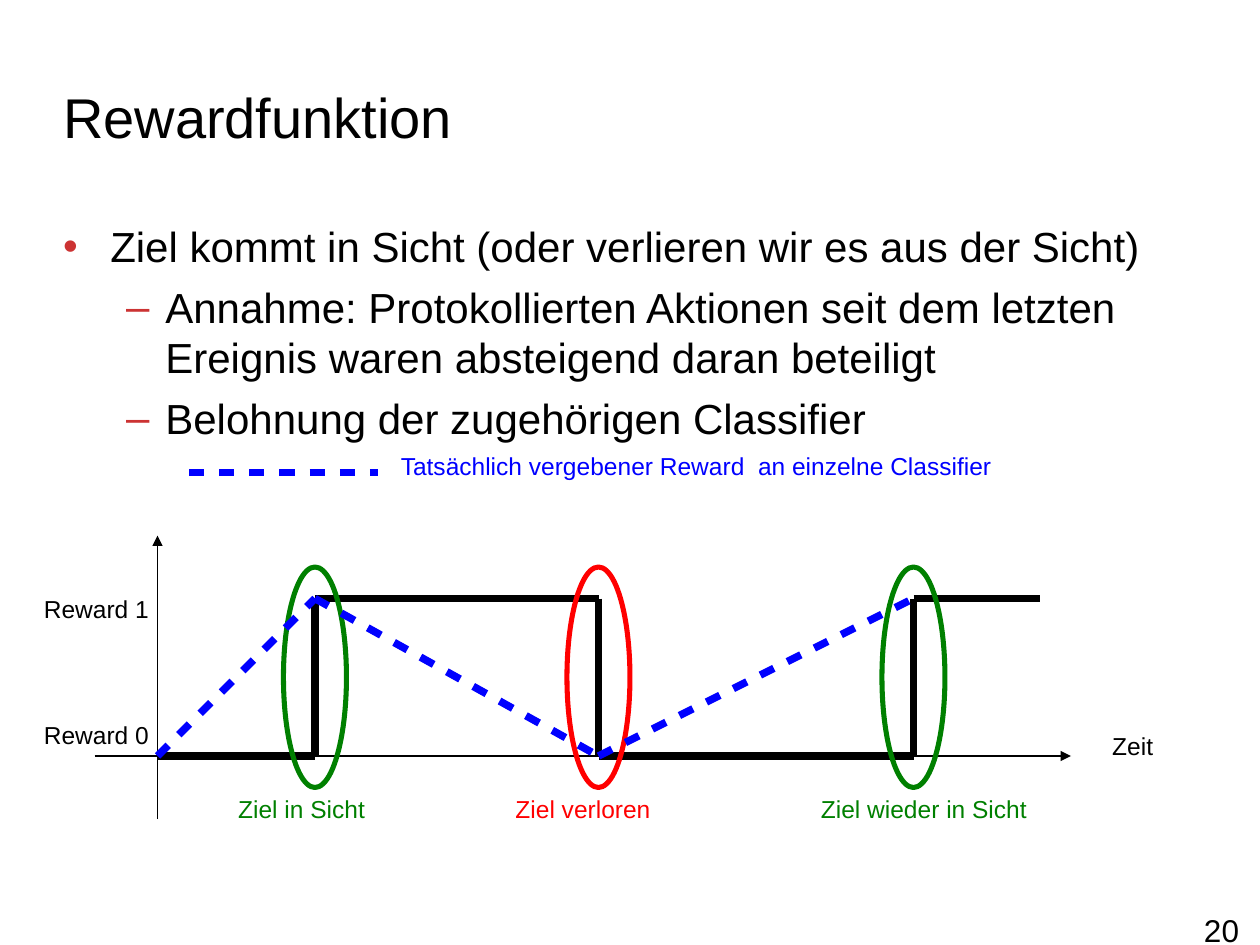
from itertools import pairwise

from lxml.etree import SubElement
from pptx import Presentation
from pptx.dml.color import RGBColor
from pptx.enum.shapes import MSO_CONNECTOR as Connector, MSO_SHAPE as Shape
from pptx.enum.text import MSO_ANCHOR as Anchor, MSO_AUTO_SIZE as AutoSize, PP_ALIGN as Align
from pptx.oxml.ns import qn
from pptx.util import Pt

BLACK = RGBColor(0x00, 0x00, 0x00)
BLUE = RGBColor(0x00, 0x00, 0xFF)
GREEN = RGBColor(0x00, 0x80, 0x00)
RED = RGBColor(0xFF, 0x00, 0x00)
BULLET_RED = RGBColor(0xCC, 0x33, 0x33)

FONT = "Arial"
CURVE_WIDTH = 4.31
LABEL_HEIGHT = 24

# Positions on the diagram's axes, in points
ORIGIN = 90
REWARD_0 = 432
REWARD_1 = 342
CURVE_END = 594

# Text, time position, colour, label left, label width
EVENTS = [
    ("Ziel in Sicht", 180, GREEN, 129, 87),
    ("Ziel verloren", 342, RED, 287.5, 91.5),
    ("Ziel wieder in Sicht", 522, GREEN, 462, 132),
]

# Text, level, left margin, hanging indent, bullet
BULLETS = [
    ("Ziel kommt in Sicht (oder verlieren wir es aus der Sicht)", 0, 27, 27, "•"),
    ("Annahme: Protokollierten Aktionen seit dem letzten "
     "Ereignis waren absteigend daran beteiligt", 1, 58.5, 22.5, "–"),
    ("Belohnung der zugehörigen Classifier", 1, 58.5, 22.5, "–"),
]


def place(shape, left, top, width, height):
    shape.left, shape.top = Pt(left), Pt(top)
    shape.width, shape.height = Pt(width), Pt(height)


def set_margins(frame, horizontal, vertical):
    frame.margin_left = frame.margin_right = Pt(horizontal)
    frame.margin_top = frame.margin_bottom = Pt(vertical)


def format_runs(paragraph, size, color):
    for run in paragraph.runs:
        run.font.name = FONT
        run.font.size = Pt(size)
        run.font.color.rgb = color


def fill_title(title, text):
    place(title, 36, 21.6, 423.4, 90)
    frame = title.text_frame
    frame.text = text
    frame.auto_size = AutoSize.NONE
    frame.vertical_anchor = Anchor.MIDDLE
    set_margins(frame, 0, 0)
    frame.paragraphs[0].alignment = Align.LEFT
    format_runs(frame.paragraphs[0], 32, BLACK)


def set_bullet(paragraph, margin, hanging, character):
    properties = paragraph._p.get_or_add_pPr()
    properties.set("marL", str(Pt(margin)))
    properties.set("indent", str(-Pt(hanging)))
    color = SubElement(properties, qn("a:buClr"))
    SubElement(color, qn("a:srgbClr"), val=str(BULLET_RED))
    SubElement(properties, qn("a:buFont"), typeface=FONT)
    SubElement(properties, qn("a:buChar"), char=character)


def fill_body(body):
    place(body, 36, 126, 648, 381)
    frame = body.text_frame
    frame.text = "\n".join(bullet[0] for bullet in BULLETS)
    frame.auto_size = AutoSize.NONE
    set_margins(frame, 0, 0)
    for paragraph, (_, level, margin, hanging, character) in zip(frame.paragraphs, BULLETS):
        paragraph.level = level
        paragraph.space_before = Pt(6)
        set_bullet(paragraph, margin, hanging, character)
        format_runs(paragraph, 24, BLACK)


def add_line(slide, start, end, width, color=BLACK, dashed=False, arrow=False):
    line = slide.shapes.add_connector(
        Connector.STRAIGHT, *(Pt(value) for value in (*start, *end)))
    line.line.color.rgb = color
    outline = line.line._get_or_add_ln()
    # Written directly, because the width property drops a hairline's zero
    outline.set("w", str(Pt(width)))
    if dashed:
        dashes = SubElement(outline, qn("a:custDash"))
        SubElement(dashes, qn("a:ds"), d="200000", sp="200000")
    if arrow:
        SubElement(outline, qn("a:tailEnd"), type="triangle")
    SubElement(line._element.spPr, qn("a:effectLst"))


def add_path(slide, points, **style):
    """Join the points with one straight line per segment."""
    for start, end in pairwise(points):
        add_line(slide, start, end, CURVE_WIDTH, **style)


def add_label(slide, text, left, top, width, height=LABEL_HEIGHT, color=BLACK,
              size=14, margins=(7.2, 3.6), alignment=Align.LEFT):
    """Add one line of text whose box grows with it."""
    box = slide.shapes.add_textbox(Pt(left), Pt(top), Pt(width), Pt(height))
    frame = box.text_frame
    frame.text = text
    frame.word_wrap = False
    frame.auto_size = AutoSize.SHAPE_TO_FIT_TEXT
    set_margins(frame, *margins)
    frame.paragraphs[0].alignment = alignment
    format_runs(frame.paragraphs[0], size, color)
    return box


def add_event_marker(slide, time, color):
    marker = slide.shapes.add_shape(Shape.OVAL, Pt(time - 18), Pt(324), Pt(36), Pt(126))
    marker.shadow.inherit = False
    marker.fill.background()
    marker.line.color.rgb = color
    marker.line.width = Pt(2.89)


def add_diagram(slide):
    add_line(slide, (ORIGIN, 468), (ORIGIN, 306), 0, arrow=True)
    add_line(slide, (54, REWARD_0), (612, REWARD_0), 1.45, arrow=True)

    steps = [(ORIGIN, REWARD_0)]
    ramps = [(ORIGIN, REWARD_0)]
    before, after = REWARD_0, REWARD_1
    for _, time, *_ in EVENTS:
        steps += [(time, before), (time, after)]
        ramps.append((time, after))
        before, after = after, before
    steps.append((CURVE_END, before))
    add_path(slide, steps)

    add_label(slide, "Reward 1", 18, 336, 75)
    add_label(slide, "Reward 0", 18, 408, 75)
    add_label(slide, "Zeit", 628.5, 414, 39)
    for text, time, color, left, width in EVENTS:
        add_event_marker(slide, time, color)
        add_label(slide, text, left, 450, width, color=color)
    add_path(slide, ramps, color=BLUE, dashed=True)


def add_legend(slide):
    add_path(slide, [(108, 270), (216, 270)], color=BLUE, dashed=True)
    add_label(slide, "Tatsächlich vergebener Reward  an einzelne Classifier",
              219.6, 252, 358, 28, color=BLUE, margins=(9.4, 5.8))


def add_page_number(slide, number):
    box = add_label(slide, number, 540, 520.6, 168, 37.4, size=18,
                    margins=(0, 0), alignment=Align.RIGHT)
    box.text_frame.word_wrap = True
    box.text_frame.auto_size = AutoSize.NONE


def main():
    presentation = Presentation()
    presentation.slide_width, presentation.slide_height = Pt(720), Pt(540)
    slide = presentation.slides.add_slide(presentation.slide_layouts[1])
    fill_title(slide.shapes.title, "Rewardfunktion")
    fill_body(slide.placeholders[1])
    add_diagram(slide)
    add_legend(slide)
    add_page_number(slide, "20")
    presentation.save("out.pptx")


if __name__ == "__main__":
    main()
